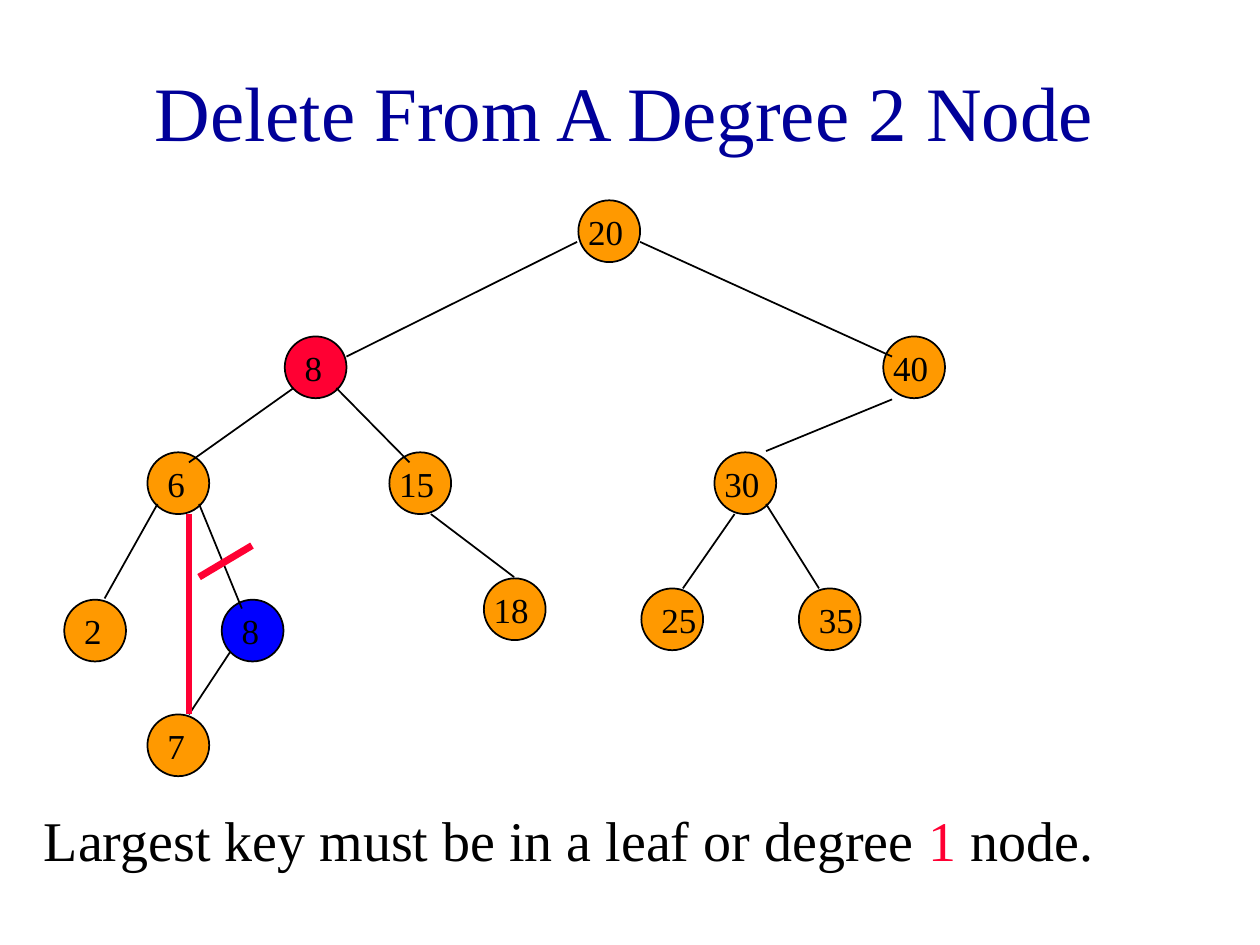
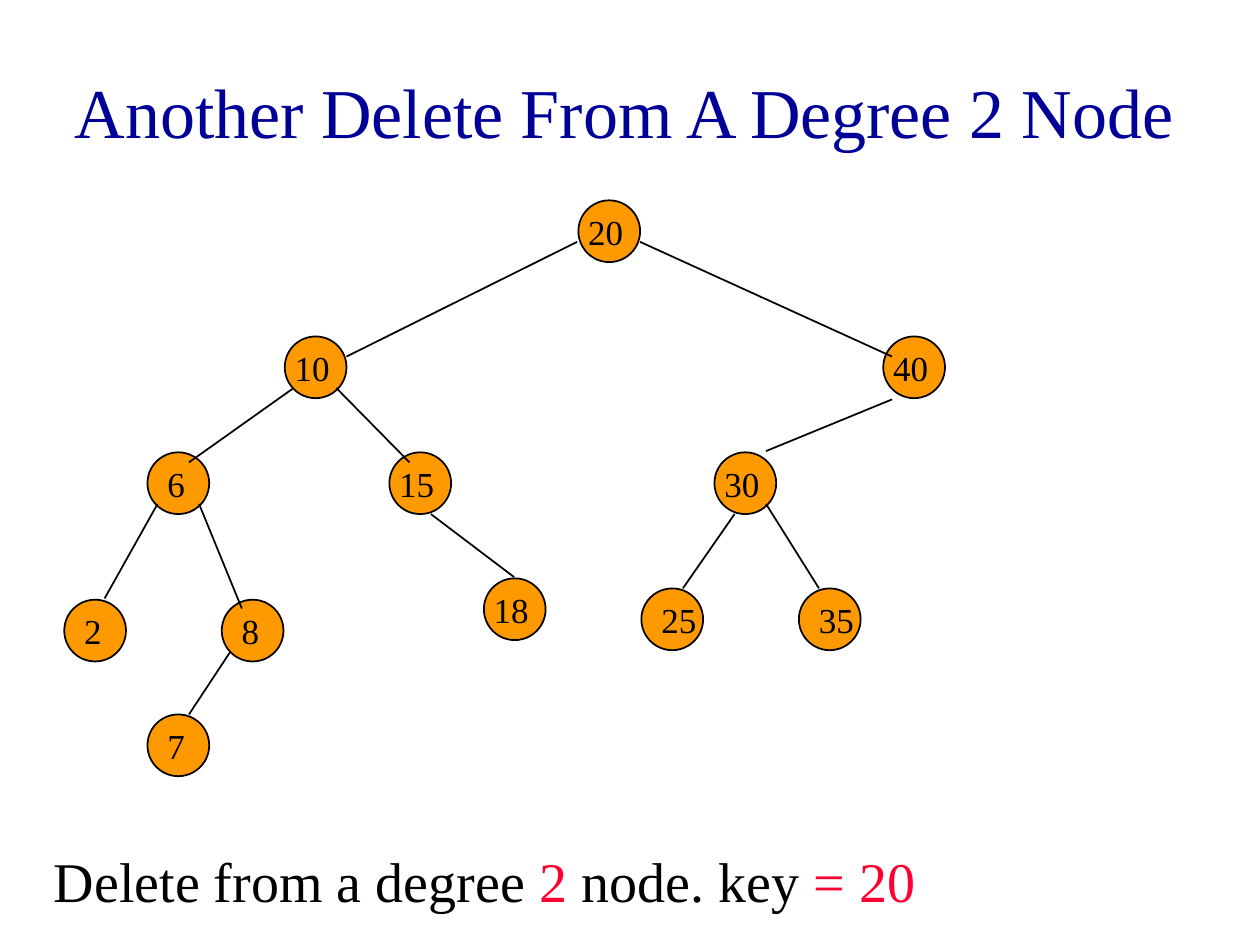
import pptx
import pptx.util
import pptx.dml.color
import pptx.enum.shapes
import pptx.enum.text
import pptx.oxml.ns
import lxml.etree

Inches = pptx.util.Inches
Pt = pptx.util.Pt

COLORS = {
    "title": "000099",
    "ink": "000000",
    "node": "FF9900",
    "accent": "FF0033",
    "moved": "0000FF",
}
FONT = "Times New Roman"
NODE_SIZE = 0.49
LABEL_WIDTHS = {1: 0.34, 2: 0.48}

NODES = {
    "root": ("20", 4.59, 1.59, -0.02),
    "left": ("10", 2.26, 2.67, -0.02),
    "right": ("40", 7.01, 2.67, -0.02),
    "six": ("6", 1.17, 3.59, 0.06),
    "fifteen": ("15", 3.09, 3.59, -0.02),
    "thirty": ("30", 5.67, 3.59, -0.02),
    "two": ("2", 0.51, 4.76, 0.06),
    "eight": ("8", 1.76, 4.76, 0.06),
    "twenty-five": ("25", 5.09, 4.67, 0.06),
    "thirty-five": ("35", 6.34, 4.67, 0.06),
    "seven": ("7", 1.17, 5.67, 0.06),
    "eighteen": ("18", 3.84, 4.59, -0.02),
}
EDGES = [
    (4.58, 1.92, 2.75, 2.83),
    (5.08, 1.92, 7.08, 2.83),
    (2.33, 3.08, 1.5, 3.67),
    (2.67, 3.08, 3.25, 3.67),
    (7.08, 3.17, 6.08, 3.58),
    (1.25, 4, 0.83, 4.75),
    (1.58, 4, 1.92, 4.83),
    (5.83, 4.08, 5.42, 4.67),
    (6.08, 4, 6.5, 4.67),
    (1.83, 5.17, 1.5, 5.67),
    (3.42, 4.08, 4.08, 4.58),
]
SLIDES = [
    {
        "title": "Delete From A Degree 2 Node",
        "title_size": 44,
        "changed_nodes": {"left": ("8", 2.26, 2.67, 0.06)},
        "fills": {"left": "accent", "eight": "moved"},
        "marks": [(1.5, 4.08, 1.5, 5.67), (2, 4.33, 1.58, 4.58)],
        "caption_at": (0.25, 6.34),
        "caption": [
            ("Largest key must be in a leaf or degree ", "ink"),
            ("1 ", "accent"),
            ("node.", "ink"),
        ],
    },
    {
        "title": "Another Delete From A Degree 2 Node",
        "title_size": 40,
        "changed_nodes": {},
        "fills": {},
        "marks": [],
        "caption_at": (0.33, 6.67),
        "caption": [
            ("Delete from a degree ", "ink"),
            ("2 ", "accent"),
            ("node. key ", "ink"),
            ("= 20", "accent"),
        ],
    },
]


def add_text(page, left, top, width, height, spans, size, wrap=True):
    box = page.shapes.add_textbox(Inches(left), Inches(top), Inches(width), Inches(height))
    box.text_frame.word_wrap = wrap
    box.text_frame.auto_size = pptx.enum.text.MSO_AUTO_SIZE.SHAPE_TO_FIT_TEXT
    para = box.text_frame.paragraphs[0]
    para.font.name = FONT
    para.font.size = Pt(size)
    for text, color in spans:
        span = para.add_run()
        span.text = text
        span.font.color.rgb = pptx.dml.color.RGBColor.from_string(COLORS[color])
    return box


def add_line(page, ends, color, width):
    line = page.shapes.add_connector(
        pptx.enum.shapes.MSO_CONNECTOR.STRAIGHT, *[Inches(value) for value in ends]
    )
    line.line.color.rgb = pptx.dml.color.RGBColor.from_string(COLORS[color])
    line.line.width = Pt(width)
    properties = line._element.find(pptx.oxml.ns.qn("p:spPr"))
    lxml.etree.SubElement(properties, pptx.oxml.ns.qn("a:effectLst"))


deck = pptx.Presentation()
deck.slide_width = Inches(10)
deck.slide_height = Inches(7.5)

for content in SLIDES:
    page = deck.slides.add_slide(deck.slide_layouts[6])

    title = add_text(page, 0.08, 0.25, 9.75, 1.25,
                     [(content["title"], "title")], content["title_size"])
    title.text_frame.auto_size = pptx.enum.text.MSO_AUTO_SIZE.NONE
    title.text_frame.vertical_anchor = pptx.enum.text.MSO_ANCHOR.MIDDLE
    title.text_frame.paragraphs[0].alignment = pptx.enum.text.PP_ALIGN.CENTER

    nodes = {**NODES, **content["changed_nodes"]}
    for name, (key, left, top, shift) in nodes.items():
        node = page.shapes.add_shape(
            pptx.enum.shapes.MSO_SHAPE.OVAL,
            Inches(left), Inches(top), Inches(NODE_SIZE), Inches(NODE_SIZE),
        )
        node.shadow.inherit = False
        node.fill.solid()
        fill = COLORS[content["fills"].get(name, "node")]
        node.fill.fore_color.rgb = pptx.dml.color.RGBColor.from_string(fill)
        node.line.color.rgb = pptx.dml.color.RGBColor.from_string(COLORS["ink"])
        node.line.width = Pt(1)

    for edge in EDGES:
        add_line(page, edge, "ink", 1)

    for key, left, top, shift in nodes.values():
        add_text(page, left + shift, top + 0.03, LABEL_WIDTHS[len(key)], 0.43,
                 [(key, "ink")], 20, wrap=False)

    for mark in content["marks"]:
        add_line(page, mark, "accent", 4)

    caption = add_text(page, *content["caption_at"], 9, 0.63, content["caption"], 32)
    caption.text_frame.paragraphs[0].space_before = Pt(20)

deck.save("out.pptx")
